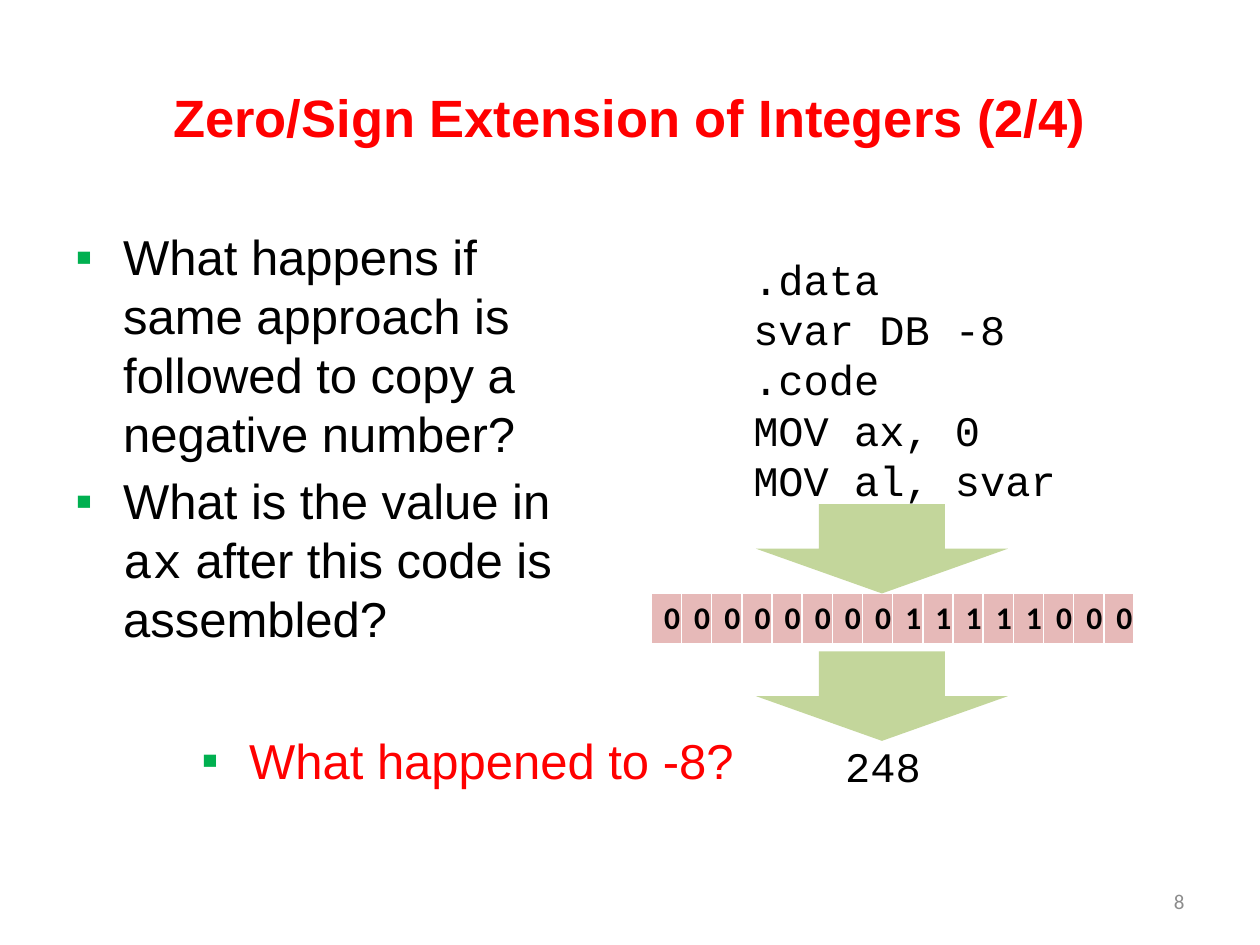
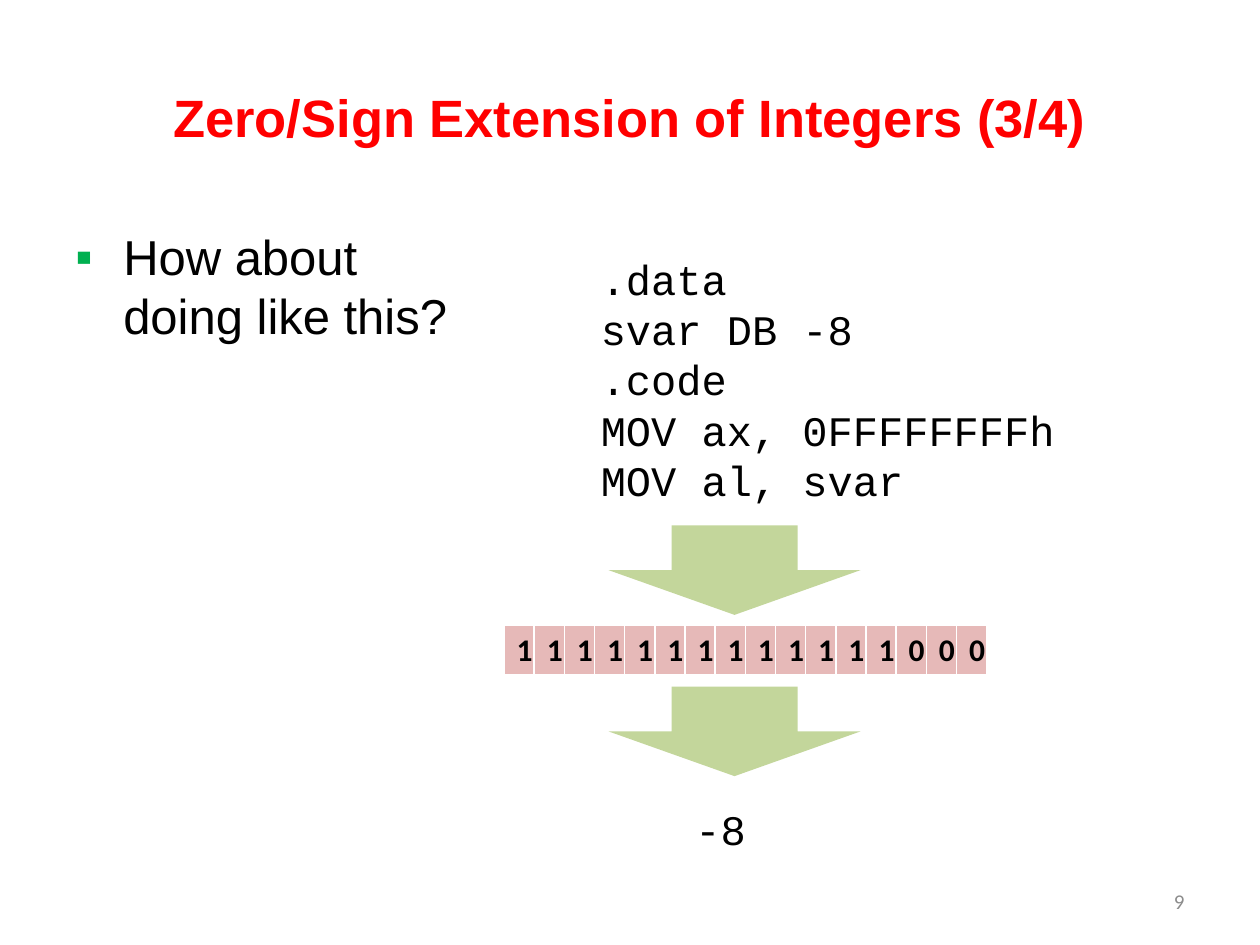
from dataclasses import dataclass
from typing import Any

import lxml.etree
import pptx
import pptx.dml.color
import pptx.enum.shapes
import pptx.enum.text
import pptx.oxml.ns
import pptx.util

Inches = pptx.util.Inches
ALIGN = pptx.enum.text.PP_ALIGN
ANCHOR = pptx.enum.text.MSO_ANCHOR

COLORS = {
    "red": "FF0000",
    "black": "000000",
    "bullet": "00B050",
    "number": "8C8C8C",
    "cell": "E6B9B8",
    "border": "FFFFFF",
    "arrow": "C3D69B",
}
STYLES = {
    "title": {"name": "Arial", "size": pptx.util.Pt(30), "bold": True},
    "body": {"name": "Arial", "size": pptx.util.Pt(28)},
    "inline code": {"name": "Courier New", "size": pptx.util.Pt(28)},
    "code": {"name": "Courier New", "size": pptx.util.Pt(24)},
    "bit": {"name": "Calibri", "size": pptx.util.Pt(18), "bold": True},
    "number": {"name": "Calibri", "size": pptx.util.Pt(12)},
}
BORDERS = {"a:lnL": 1, "a:lnR": 1, "a:lnT": 1, "a:lnB": 3}
HANGING = Inches(0.38)
BIT_WIDTH = 3.67 / 16
ARROW_SIZE = (2, 0.71)


@dataclass
class Box:
    """Place of an element, in inches."""
    left: float
    top: float
    width: float
    height: float

    def lengths(self) -> list[int]:
        """Return the four values as lengths."""
        return [Inches(v) for v in (self.left, self.top, self.width, self.height)]


@dataclass
class Run:
    """A piece of text in one style."""
    text: str
    style: str = "body"
    color: str = "black"


@dataclass
class BulletBox:
    """A text box of bulleted paragraphs, each a list of runs."""
    box: Box
    paragraphs: list[list[Run]]


@dataclass
class ExtensionSlide:
    """One example: code, the register bits it leaves, and their value."""
    step: int
    number: int
    bullets: list[BulletBox]
    code: list[str]
    code_box: Box
    bits: str
    bits_at: tuple[float, float]
    arrows_left: float
    arrow_tops: tuple[float, float]
    value: str
    value_box: Box


def rgb(name: str) -> pptx.dml.color.RGBColor:
    """Look up a colour by name."""
    return pptx.dml.color.RGBColor.from_string(COLORS[name])


def add_run(p: Any, run: Run) -> None:
    """Append a formatted run to a paragraph."""
    r = p.add_run()
    r.text = run.text
    for key, value in STYLES[run.style].items():
        setattr(r.font, key, value)
    r.font.color.rgb = rgb(run.color)


def add_text(s: Any, box: Box, paragraphs: list[list[Run]], align: Any = ALIGN.LEFT,
             anchor: Any = ANCHOR.TOP, wrap: bool = True) -> Any:
    """Add a text box and return its text frame."""
    tf = s.shapes.add_textbox(*box.lengths()).text_frame
    tf.word_wrap = wrap
    tf.vertical_anchor = anchor
    for i, runs in enumerate(paragraphs):
        p = tf.add_paragraph() if i else tf.paragraphs[0]
        p.alignment = align
        for run in runs:
            add_run(p, run)
    return tf


def add_bullets(s: Any, item: BulletBox) -> None:
    """Add a text box with green square bullets."""
    tf = add_text(s, item.box, item.paragraphs)
    for p in tf.paragraphs:
        p.space_before = pptx.util.Pt(5)
        pPr = p._p.get_or_add_pPr()
        pPr.set("marL", str(HANGING))
        pPr.set("indent", str(-HANGING))
        color = lxml.etree.SubElement(pPr, pptx.oxml.ns.qn("a:buClr"))
        lxml.etree.SubElement(color, pptx.oxml.ns.qn("a:srgbClr"), val=COLORS["bullet"])
        lxml.etree.SubElement(pPr, pptx.oxml.ns.qn("a:buFont"), typeface="Arial")
        lxml.etree.SubElement(pPr, pptx.oxml.ns.qn("a:buChar"), char="▪")


def add_code(s: Any, box: Box, lines: list[str]) -> None:
    """Add unwrapped monospaced lines in a box that fits its text."""
    tf = add_text(s, box, [[Run(line, "code")] for line in lines], wrap=False)
    tf.auto_size = pptx.enum.text.MSO_AUTO_SIZE.SHAPE_TO_FIT_TEXT


def set_borders(cell: Any) -> None:
    """Draw white borders around a cell."""
    tcPr = cell._tc.get_or_add_tcPr()
    for tag, points in BORDERS.items():
        ln = lxml.etree.SubElement(tcPr, pptx.oxml.ns.qn(tag), w=str(pptx.util.Pt(points)))
        fill = lxml.etree.SubElement(ln, pptx.oxml.ns.qn("a:solidFill"))
        lxml.etree.SubElement(fill, pptx.oxml.ns.qn("a:srgbClr"), val=COLORS["border"])


def add_bits(s: Any, left: float, top: float, bits: str) -> None:
    """Add a one-row table with a cell for each bit."""
    box = Box(left, top, BIT_WIDTH * len(bits), 0.41)
    table = s.shapes.add_table(1, len(bits), *box.lengths()).table
    table.first_row = table.horz_banding = False
    for i, bit in enumerate(bits):
        table.columns[i].width = Inches(BIT_WIDTH)
        cell = table.cell(0, i)
        set_borders(cell)
        cell.fill.solid()
        cell.fill.fore_color.rgb = rgb("cell")
        p = cell.text_frame.paragraphs[0]
        p.alignment = ALIGN.CENTER
        add_run(p, Run(bit, "bit"))


def add_arrow(s: Any, left: float, top: float) -> None:
    """Add a green down arrow."""
    arrow = s.shapes.add_shape(pptx.enum.shapes.MSO_SHAPE.DOWN_ARROW,
                               *Box(left, top, *ARROW_SIZE).lengths())
    arrow.shadow.inherit = False
    arrow.fill.solid()
    arrow.fill.fore_color.rgb = rgb("arrow")
    arrow.line.fill.background()


def add_slide(prs: Any, item: ExtensionSlide) -> None:
    """Build one example slide."""
    s = prs.slides.add_slide(prs.slide_layouts[6])
    title = f"Zero/Sign Extension of Integers ({item.step}/4)"
    add_text(s, Box(0.5, 0.3, 9, 1.25), [[Run(title, "title", "red")]],
             ALIGN.CENTER, ANCHOR.MIDDLE)
    add_text(s, Box(7.17, 6.95, 2.33, 0.4), [[Run(str(item.number), "number", "number")]],
             ALIGN.RIGHT, ANCHOR.MIDDLE)
    add_code(s, item.code_box, item.code)
    add_bits(s, *item.bits_at, item.bits)
    add_code(s, item.value_box, [item.value])
    for top in item.arrow_tops:
        add_arrow(s, item.arrows_left, top)
    for bullets in item.bullets:
        add_bullets(s, bullets)


SLIDES = [
    ExtensionSlide(
        step=2, number=8,
        bullets=[
            BulletBox(Box(0.5, 1.75, 4, 4.95), [
                [Run("What happens if same approach is followed to copy a negative number?")],
                [Run("What is the value in "), Run("ax", "inline code"),
                 Run(" after this code is assembled?")],
            ]),
            BulletBox(Box(1.5, 5.75, 4.44, 0.83),
                      [[Run("What happened to -8?", color="red")]]),
        ],
        code=[".data", "svar DB -8", ".code", "MOV ax, 0", "MOV al, svar"],
        code_box=Box(5.88, 1.96, 2.62, 2.12),
        bits="0000000011111000", bits_at=(5.17, 4.71),
        arrows_left=6, arrow_tops=(4, 5.17),
        value="248", value_box=Box(6.61, 5.83, 0.81, 0.5),
    ),
    ExtensionSlide(
        step=3, number=9,
        bullets=[BulletBox(Box(0.5, 1.75, 3.25, 4.95),
                           [[Run("How about doing like this?")]])],
        code=[".data", "svar DB -8", ".code", "MOV ax, 0FFFFFFFFh", "MOV al, svar"],
        code_box=Box(4.67, 1.96, 3.83, 2.12),
        bits="1111111111111000", bits_at=(4, 4.96),
        arrows_left=4.83, arrow_tops=(4.17, 5.45),
        value="-8", value_box=Box(5.42, 6.33, 0.61, 0.5),
    ),
]

prs = pptx.Presentation()
prs.slide_width, prs.slide_height = Inches(10), Inches(7.5)
for slide in SLIDES:
    add_slide(prs, slide)
prs.save("out.pptx")
